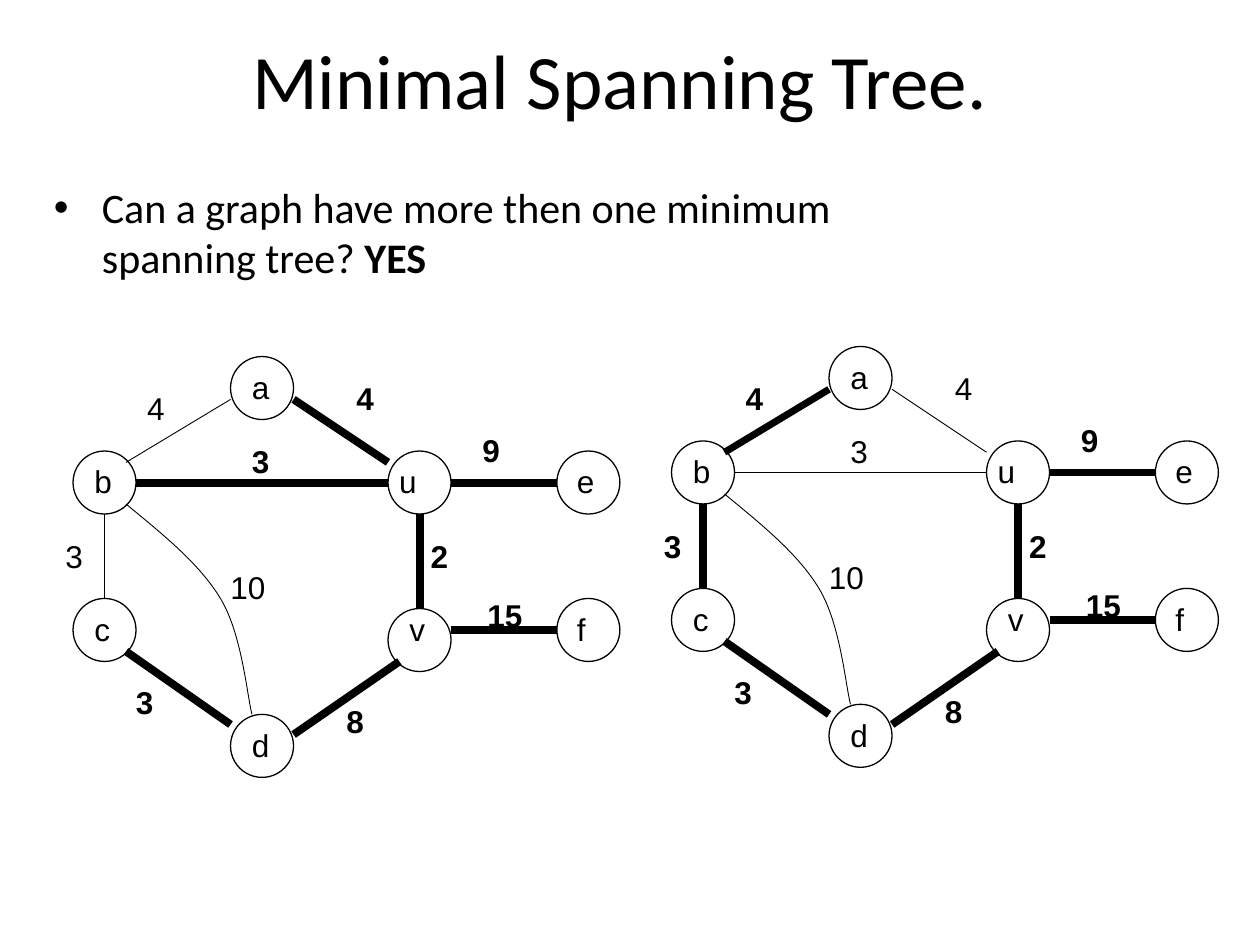
from lxml import etree
from pptx import Presentation
from pptx.dml.color import RGBColor
from pptx.enum.shapes import MSO_CONNECTOR, MSO_SHAPE
from pptx.enum.text import MSO_ANCHOR, MSO_AUTO_SIZE, PP_ALIGN
from pptx.oxml.ns import qn
from pptx.util import Inches, Pt

COLORS = {"ink": "000000", "paper": "FFFFFF"}
NODE_SIZE = 0.5
THIN, THICK = 0.5, 4.5

NODES = {
    "b": (0.16, 0.75, 0.07, 0.04, 0.34),
    "c": (0.16, 1.92, 0.07, 0.04, 0.33),
    "a": (1.41, 0, 0.07, 0.04, 0.34),
    "u": (2.66, 0.75, -0.01, 0.04, 0.34),
    "d": (1.41, 2.84, 0.07, 0.04, 0.34),
    "v": (2.66, 2, 0.07, -0.04, 0.33),
    "e": (4, 0.75, 0.06, 0.04, 0.34),
    "f": (4, 1.92, 0.06, 0.04, 0.27),
}
EDGES = {
    "bc": ((0.41, 1.25), (0.41, 1.92)),
    "ab": ((0.58, 0.84), (1.41, 0.34)),
    "cd": ((0.58, 2.34), (1.41, 2.92)),
    "dv": ((1.91, 3), (2.75, 2.42)),
    "au": ((1.91, 0.34), (2.66, 0.84)),
    "uv": ((2.91, 1.25), (2.91, 2)),
    "bu": ((0.66, 1), (2.66, 1)),
    "ue": ((3.16, 1), (4, 1)),
    "vf": ((3.16, 2.17), (4, 2.17)),
}
CURVE = [(0.58, 1.17), (0.87, 1.41), (1.16, 1.64), (1.33, 1.92),
         (1.5, 2.2), (1.54, 2.68), (1.58, 2.84)]
WEIGHTS = {
    "ab": ("4", 0.65, 0.21),
    "au": ("4", 2.31, 0.13),
    "bu": ("3", 1.48, 0.63),
    "uv": ("2", 2.9, 1.38),
    "ue": ("9", 3.31, 0.54),
    "vf": ("15", 3.35, 1.85),
    "dv": ("8", 2.23, 2.69),
    "bd": ("10", 1.31, 1.63),
    "bc": ("3", 0, 1.38),
    "cd": ("3", 0.56, 2.54),
}


def color(name):
    return RGBColor.from_string(COLORS[name])


def add_run(paragraph, text, size, font, bold=False):
    run = paragraph.add_run()
    run.text = text
    run.font.size = Pt(size)
    run.font.name = font
    run.font.bold = bold
    run.font.color.rgb = color("ink")


def add_box(slide, left, top, width, height):
    return slide.shapes.add_textbox(
        Inches(left), Inches(top), Inches(width), Inches(height)).text_frame


def add_label(slide, text, left, top, width, bold=False):
    frame = add_box(slide, left, top, width, 0.4)
    frame.word_wrap = False
    frame.auto_size = MSO_AUTO_SIZE.SHAPE_TO_FIT_TEXT
    add_run(frame.paragraphs[0], text, 18, "Arial", bold)


def set_line(shape, width):
    shape.line.color.rgb = color("ink")
    shape.line.width = Pt(width)


def add_title(slide, left, top, width, height):
    frame = add_box(slide, left, top, width, height)
    frame.word_wrap = True
    frame.vertical_anchor = MSO_ANCHOR.MIDDLE
    frame.paragraphs[0].alignment = PP_ALIGN.CENTER
    add_run(frame.paragraphs[0], "Minimal Spanning Tree.", 44, "Calibri")


def add_question(slide, left, top, width, height):
    frame = add_box(slide, left, top, width, height)
    frame.word_wrap = True
    paragraph = frame.paragraphs[0]
    paragraph.space_before = Pt(4.8)
    properties = paragraph._p.get_or_add_pPr()
    properties.set("marL", str(Inches(0.38)))
    properties.set("indent", str(Inches(-0.38)))
    etree.SubElement(properties, qn("a:buFont")).set("typeface", "Arial")
    etree.SubElement(properties, qn("a:buChar")).set("char", "\u2022")
    add_run(paragraph, "Can a graph have more then one minimum spanning tree? ", 24, "Calibri")
    add_run(paragraph, "YES", 24, "Calibri", True)


def add_curve(slide, points):
    builder = slide.shapes.build_freeform(
        Inches(points[0][0]), Inches(points[0][1]), scale=1.0)
    builder.add_line_segments([(Inches(x), Inches(y)) for x, y in points[1:]], close=False)
    curve = builder.convert_to_shape()
    curve.shadow.inherit = False
    curve.fill.background()
    set_line(curve, THIN)
    path = next(curve._element.iter(qn("a:path")))
    segments = path.findall(qn("a:lnTo"))
    for start in range(0, len(segments), 3):
        bezier = etree.SubElement(path, qn("a:cubicBezTo"))
        for segment in segments[start:start + 3]:
            bezier.append(segment[0])
            path.remove(segment)


def add_graph(slide, left, top, tree):
    def place(point):
        return left + point[0], top + point[1]

    for x, y, *_ in NODES.values():
        node_left, node_top = place((x, y))
        node = slide.shapes.add_shape(
            MSO_SHAPE.OVAL, Inches(node_left), Inches(node_top),
            Inches(NODE_SIZE), Inches(NODE_SIZE))
        node.shadow.inherit = False
        node.fill.background()
        set_line(node, 0.75)

    for name, (start, end) in EDGES.items():
        ends = [Inches(value) for value in place(start) + place(end)]
        edge = slide.shapes.add_connector(MSO_CONNECTOR.STRAIGHT, *ends)
        set_line(edge, tree.get(name, THIN))
        etree.SubElement(edge._element.spPr, qn("a:effectLst"))

    add_curve(slide, [place(point) for point in CURVE])

    for name, (text, x, y) in WEIGHTS.items():
        width = 0.34 if len(text) == 1 else 0.48
        add_label(slide, text, *place((x, y)), width, name in tree)

    for name, (x, y, dx, dy, width) in NODES.items():
        add_label(slide, name, *place((x + dx, y + dy)), width)


prs = Presentation()
prs.slide_width, prs.slide_height = Inches(10), Inches(7.5)
slide = prs.slides.add_slide(prs.slide_layouts[6])
slide.background.fill.solid()
slide.background.fill.fore_color.rgb = color("paper")

shared_tree = dict.fromkeys(["cd", "dv", "uv", "ue", "vf"], THICK)
add_title(slide, 0.42, 0, 9, 1.25)
add_question(slide, 0.33, 1.39, 7.48, 1.02)
add_graph(slide, 5.17, 2.75, {**shared_tree, "bc": THICK, "ab": 4})
add_graph(slide, 0.42, 2.83, {**shared_tree, "au": THICK, "bu": THICK})

prs.save("out.pptx")
